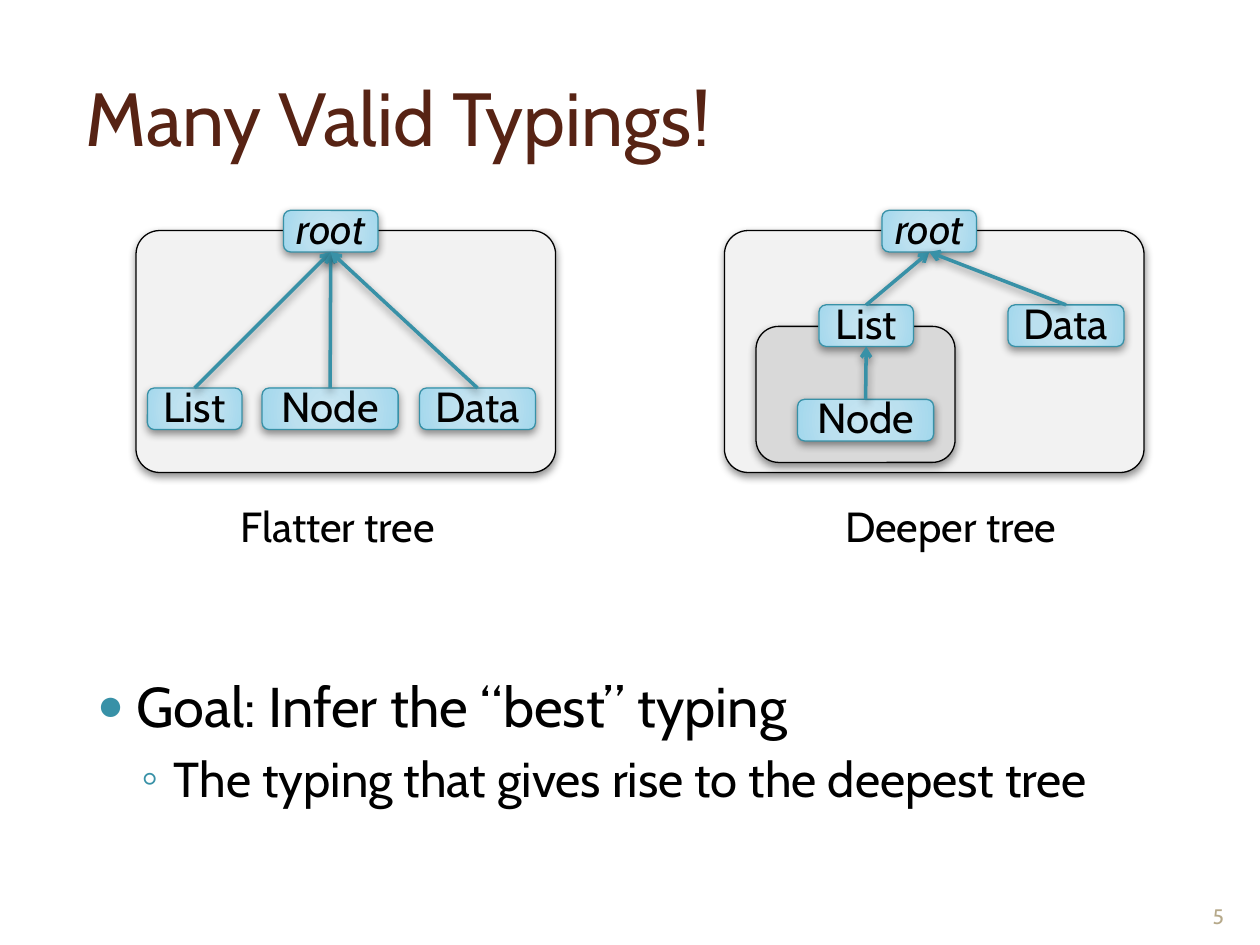
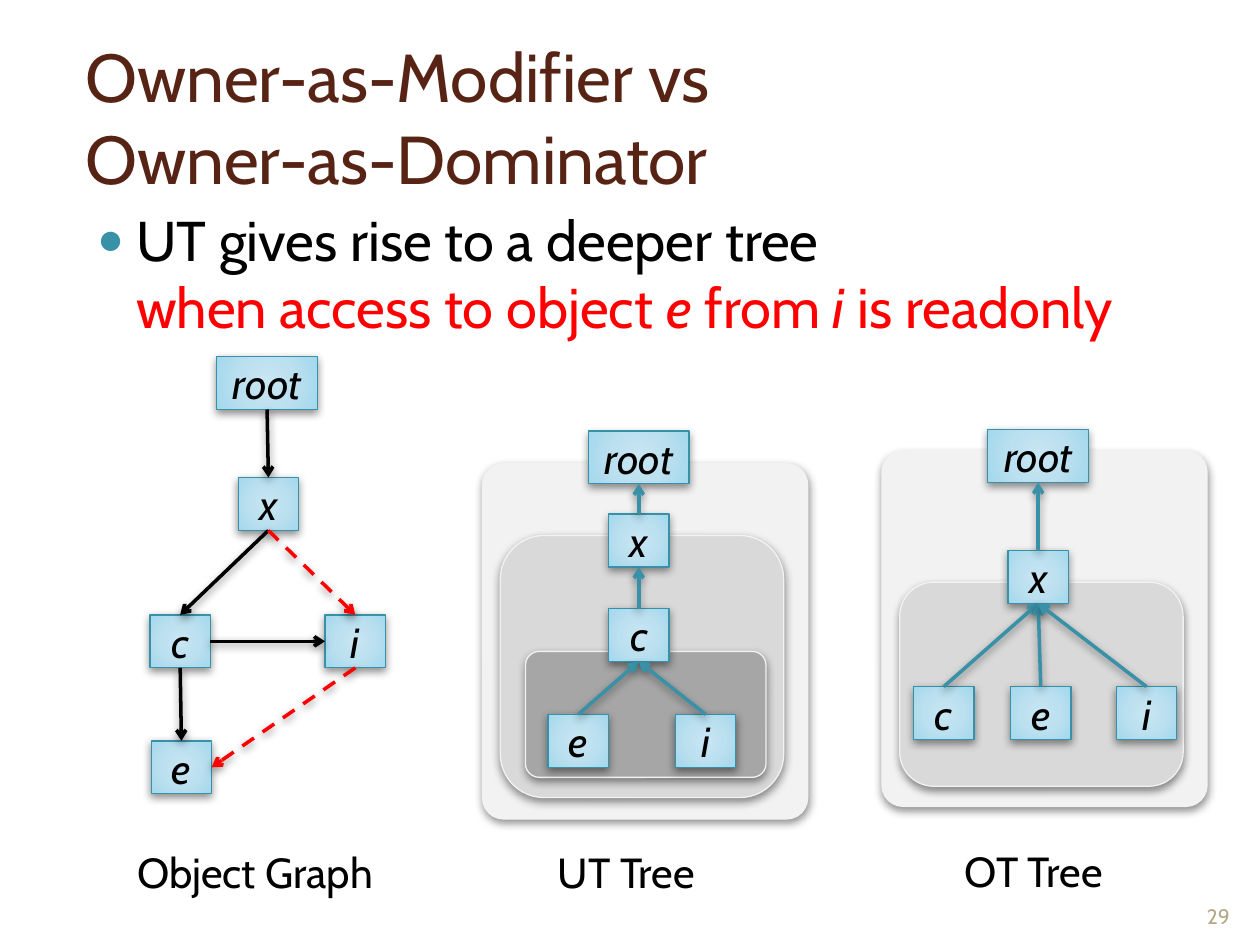
import pptx
import pptx.dml.color
import pptx.enum.dml
import pptx.enum.shapes
import pptx.enum.text
import pptx.oxml
import pptx.oxml.ns
import pptx.util

Inches, Pt = pptx.util.Inches, pptx.util.Pt
RGBColor = pptx.dml.color.RGBColor
SHAPE = pptx.enum.shapes.MSO_SHAPE
ANCHOR = pptx.enum.text.MSO_ANCHOR
ALIGN = pptx.enum.text.PP_ALIGN

FONT = "Cabin"
BLACK = RGBColor(0x00, 0x00, 0x00)
RED = RGBColor(0xFF, 0x00, 0x00)
BROWN = RGBColor(0x57, 0x23, 0x14)
TEAL = RGBColor(0x38, 0x91, 0xA7)
SAND = RGBColor(0xB6, 0xA9, 0x8A)
PALE = RGBColor(0xF2, 0xF2, 0xF2)
MIDDLE = RGBColor(0xD9, 0xD9, 0xD9)
DARK = RGBColor(0xA6, 0xA6, 0xA6)
NODE_STOPS = [
    (0, RGBColor(0xC9, 0xE6, 0xF2)),
    (50, RGBColor(0xBB, 0xE0, 0xEF)),
    (97, RGBColor(0xA4, 0xD8, 0xED)),
    (100, RGBColor(0x9B, 0xD7, 0xEE)),
]

TOP, LEFT, BOTTOM, RIGHT = range(4)

# One entry per list level: size, space before, left margin, hanging, bullet
LEVELS = [
    {"size": 32, "before": 6, "margin": 0.4, "hang": 0.31, "char": "●", "scale": 80},
    {"size": 28, "before": 5.5, "margin": 0.7, "hang": 0.26, "char": "◦", "scale": 100},
]

ROUNDED = {
    "geometry": SHAPE.ROUNDED_RECTANGLE,
    "widths": {"root": 0.75, "List": 0.75, "Node": 1.08, "Data": 0.92},
    "height": 0.33,
    "italic": ["root"],
    "region_line": BLACK,
    "frame": {"vertical_anchor": ANCHOR.BOTTOM, "margin_left": 0, "margin_right": 0,
              "margin_top": 0, "margin_bottom": 0},
    "paragraph": {"alignment": ALIGN.CENTER, "line_spacing": 0.5},
}
SQUARE = {
    "geometry": SHAPE.RECTANGLE,
    "widths": {"root": 0.8, "x": 0.48, "c": 0.48, "e": 0.48, "i": 0.48},
    "height": 0.42,
    "italic": ["root", "x", "c", "e", "i"],
    "region_line": PALE,
    "frame": {"vertical_anchor": ANCHOR.MIDDLE},
    "paragraph": {"alignment": ALIGN.CENTER},
}

# regions: box, corner, fill; nodes: left, top; tree: child, parent;
# links: from, side, to, side, colour
SLIDES = [
    {
        "number": "5",
        "title": "Many Valid Typings!",
        "title_size": 43,
        "body_box": (0.58, 5.28, 8.87, 1.88),
        "body": [
            (0, [("Goal: Infer the “best” typing", BLACK, False)]),
            (1, [("The typing that gives rise to the deepest tree", BLACK, False)]),
        ],
        "look": ROUNDED,
        "diagrams": [
            {
                "caption": ("Flatter tree", 1.81, 3.92, 1.75),
                "regions": [((1.08, 1.83, 3.33, 1.92), 0.098, PALE)],
                "nodes": {"root": (2.25, 1.67), "List": (1.17, 3.08),
                          "Node": (2.08, 3.08), "Data": (3.33, 3.08)},
                "tree": [("List", "root"), ("Node", "root"), ("Data", "root")],
            },
            {
                "caption": ("Deeper tree", 6.61, 3.92, 1.89),
                "regions": [((5.75, 1.83, 3.33, 1.92), 0.098, PALE),
                            ((6, 2.59, 1.58, 1.08), 0.167, MIDDLE)],
                "nodes": {"root": (7, 1.67), "List": (6.5, 2.42),
                          "Node": (6.33, 3.17), "Data": (8, 2.42)},
                "tree": [("List", "root"), ("Node", "List"), ("Data", "root")],
            },
        ],
    },
    {
        "number": "29",
        "title": "Owner-as-Modifier vs \nOwner-as-Dominator",
        "title_size": 38.7,
        "body_box": (0.58, 1.58, 8.87, 5.25),
        "body": [
            (0, [("UT gives rise to a deeper tree", BLACK, False),
                 ("\n", RED, False),
                 ("when access to object ", RED, False), ("e", RED, True),
                 (" from ", RED, False), ("i ", RED, True),
                 ("is readonly", RED, False)]),
        ],
        "look": SQUARE,
        "diagrams": [
            {
                "caption": ("OT Tree", 7.56, 6.66, 1.44),
                "regions": [((7, 3.58, 2.58, 2.82), 0.065, PALE),
                            ((7.14, 4.62, 2.25, 1.62), 0.167, MIDDLE)],
                "nodes": {"root": (7.84, 3.41), "x": (8, 4.37), "c": (7.25, 5.45),
                          "e": (8.02, 5.45), "i": (8.86, 5.45)},
                "tree": [("x", "root"), ("c", "x"), ("e", "x"), ("i", "x")],
            },
            {
                "caption": ("UT Tree", 4.33, 6.67, 1.5),
                "regions": [((3.83, 3.68, 2.58, 2.82), 0.065, PALE),
                            ((3.97, 4.25, 2.25, 2.08), 0.167, MIDDLE),
                            ((4.17, 5.17, 1.91, 1), 0.11, DARK)],
                "nodes": {"root": (4.67, 3.42), "x": (4.83, 4.08), "c": (4.83, 4.83),
                          "e": (4.35, 5.67), "i": (5.36, 5.67)},
                "tree": [("x", "root"), ("c", "x"), ("e", "c"), ("i", "c")],
            },
            {
                "caption": ("Object Graph", 0.99, 6.67, 2.1),
                "nodes": {"root": (1.72, 2.83), "x": (1.89, 3.79), "c": (1.19, 4.88),
                          "i": (2.58, 4.88), "e": (1.2, 5.88)},
                "links": [("root", BOTTOM, "x", TOP, BLACK),
                          ("x", BOTTOM, "c", TOP, BLACK),
                          ("x", BOTTOM, "i", TOP, RED),
                          ("c", BOTTOM, "e", TOP, BLACK),
                          ("i", BOTTOM, "e", RIGHT, RED),
                          ("c", RIGHT, "i", LEFT, BLACK)],
            },
        ],
    },
]


def set_all(obj, values):
    for name, value in values.items():
        setattr(obj, name, value)


def inches(*lengths):
    return [Inches(v) for v in lengths]


def add_xml(parent, xml, index=None):
    """Put a DrawingML element into parent, at the end or at index."""
    head, sep, tail = xml.partition(">" if "/>" not in xml.split(">")[0] + ">" else "/>")
    el = pptx.oxml.parse_xml(head + " " + pptx.oxml.ns.nsdecls("a") + sep + tail)
    parent.insert(len(parent) if index is None else index, el)


def format_run(r, size, color, italic=False):
    set_all(r.font, {"name": FONT, "size": Pt(size), "bold": False, "italic": italic})
    r.font.color.rgb = color


def add_shadow(sp):
    add_xml(sp._element.spPr,
            '<a:effectLst><a:outerShdw blurRad="63500" dist="25400" dir="5400000" '
            'rotWithShape="0"><a:srgbClr val="000000"><a:alpha val="43000"/>'
            '</a:srgbClr></a:outerShdw></a:effectLst>')


def set_line(sp, color, width):
    sp.line.color.rgb = color
    sp.line.width = Pt(width)


def add_region(slide, box, corner, fill, line):
    sp = slide.shapes.add_shape(SHAPE.ROUNDED_RECTANGLE, *inches(*box))
    sp.adjustments[0] = corner
    sp.fill.solid()
    sp.fill.fore_color.rgb = fill
    set_line(sp, line, 0.75)
    add_shadow(sp)


def add_node(slide, label, left, top, look):
    sp = slide.shapes.add_shape(
        look["geometry"], *inches(left, top, look["widths"][label], look["height"]))
    stops = "".join(f'<a:gs pos="{pos * 1000}"><a:srgbClr val="{color}"/></a:gs>'
                    for pos, color in NODE_STOPS)
    add_xml(sp._element.spPr,
            f'<a:gradFill><a:gsLst>{stops}</a:gsLst><a:path path="circle">'
            '<a:fillToRect l="50000" t="50000" r="50000" b="50000"/></a:path>'
            '</a:gradFill>', 2)
    set_line(sp, TEAL, 0.75)
    add_shadow(sp)
    set_all(sp.text_frame, look["frame"])
    p = sp.text_frame.paragraphs[0]
    set_all(p, look["paragraph"])
    r = p.add_run()
    r.text = label
    format_run(r, 24, BLACK, label in look["italic"])
    return sp


def add_arrow(slide, start, start_side, end, end_side, color):
    cxn = slide.shapes.add_connector(
        pptx.enum.shapes.MSO_CONNECTOR.STRAIGHT, 0, 0, 0, 0)
    cxn.begin_connect(start, start_side)
    cxn.end_connect(end, end_side)
    set_line(cxn, color, 2)
    if color == RED:
        cxn.line.dash_style = pptx.enum.dml.MSO_LINE.DASH
    add_xml(cxn.line._get_or_add_ln(), '<a:tailEnd type="arrow"/>')
    add_shadow(cxn)


def add_label(slide, text, box, size, color, frame, alignment=ALIGN.LEFT):
    tf = slide.shapes.add_textbox(*inches(*box)).text_frame
    set_all(tf, {"word_wrap": True, **frame})
    p = tf.paragraphs[0]
    p.alignment = alignment
    r = p.add_run()
    r.text = text
    format_run(r, size, color)


def place(sp, box, anchor):
    set_all(sp, dict(zip(("left", "top", "width", "height"), inches(*box))))
    set_all(sp.text_frame, {"vertical_anchor": anchor, "word_wrap": True,
                            "auto_size": pptx.enum.text.MSO_AUTO_SIZE.NONE})


def fill_title(sp, text, size):
    place(sp, (0.58, 0.3, 8.87, 1.25), ANCHOR.MIDDLE)
    p = sp.text_frame.paragraphs[0]
    p.text = text
    p.alignment = ALIGN.LEFT
    for r in p.runs:
        format_run(r, size, BROWN)


def fill_body(sp, box, items):
    place(sp, box, ANCHOR.TOP)
    tf = sp.text_frame
    for n, (level, runs) in enumerate(items):
        p = tf.add_paragraph() if n else tf.paragraphs[0]
        fmt = LEVELS[level]
        set_all(p, {"level": level, "space_before": Pt(fmt["before"])})
        pPr = p._p.get_or_add_pPr()
        pPr.set("marL", str(Inches(fmt["margin"])))
        pPr.set("indent", str(-Inches(fmt["hang"])))
        add_xml(pPr, f'<a:buClr><a:srgbClr val="{TEAL}"/></a:buClr>')
        add_xml(pPr, f'<a:buSzPct val="{fmt["scale"] * 1000}"/>')
        add_xml(pPr, f'<a:buChar char="{fmt["char"]}"/>')
        for text, color, italic in runs:
            if text == "\n":
                p.add_line_break()
                continue
            r = p.add_run()
            r.text = text
            format_run(r, fmt["size"], color, italic)


def add_diagram(slide, diagram, look):
    for box, corner, fill in diagram.get("regions", []):
        add_region(slide, box, corner, fill, look["region_line"])
    nodes = {label: add_node(slide, label, left, top, look)
             for label, (left, top) in diagram["nodes"].items()}
    links = [(child, TOP, parent, BOTTOM, TEAL)
             for child, parent in diagram.get("tree", [])]
    for start, side, end, end_side, color in links + diagram.get("links", []):
        add_arrow(slide, nodes[start], side, nodes[end], end_side, color)
    text, left, top, width = diagram["caption"]
    add_label(slide, text, (left, top, width, 0.5), 24, BLACK, {})


def main():
    prs = pptx.Presentation()
    set_all(prs, {"slide_width": Inches(10), "slide_height": Inches(7.5)})
    for content in SLIDES:
        slide = prs.slides.add_slide(prs.slide_layouts[1])
        fill_title(slide.shapes.title, content["title"], content["title_size"])
        fill_body(slide.placeholders[1], content["body_box"], content["body"])
        for diagram in content["diagrams"]:
            add_diagram(slide, diagram, content["look"])
        add_label(slide, content["number"], (9.42, 6.9, 0.5, 0.52), 12, SAND,
                  {"vertical_anchor": ANCHOR.BOTTOM}, ALIGN.CENTER)
    prs.save("out.pptx")


if __name__ == "__main__":
    main()
